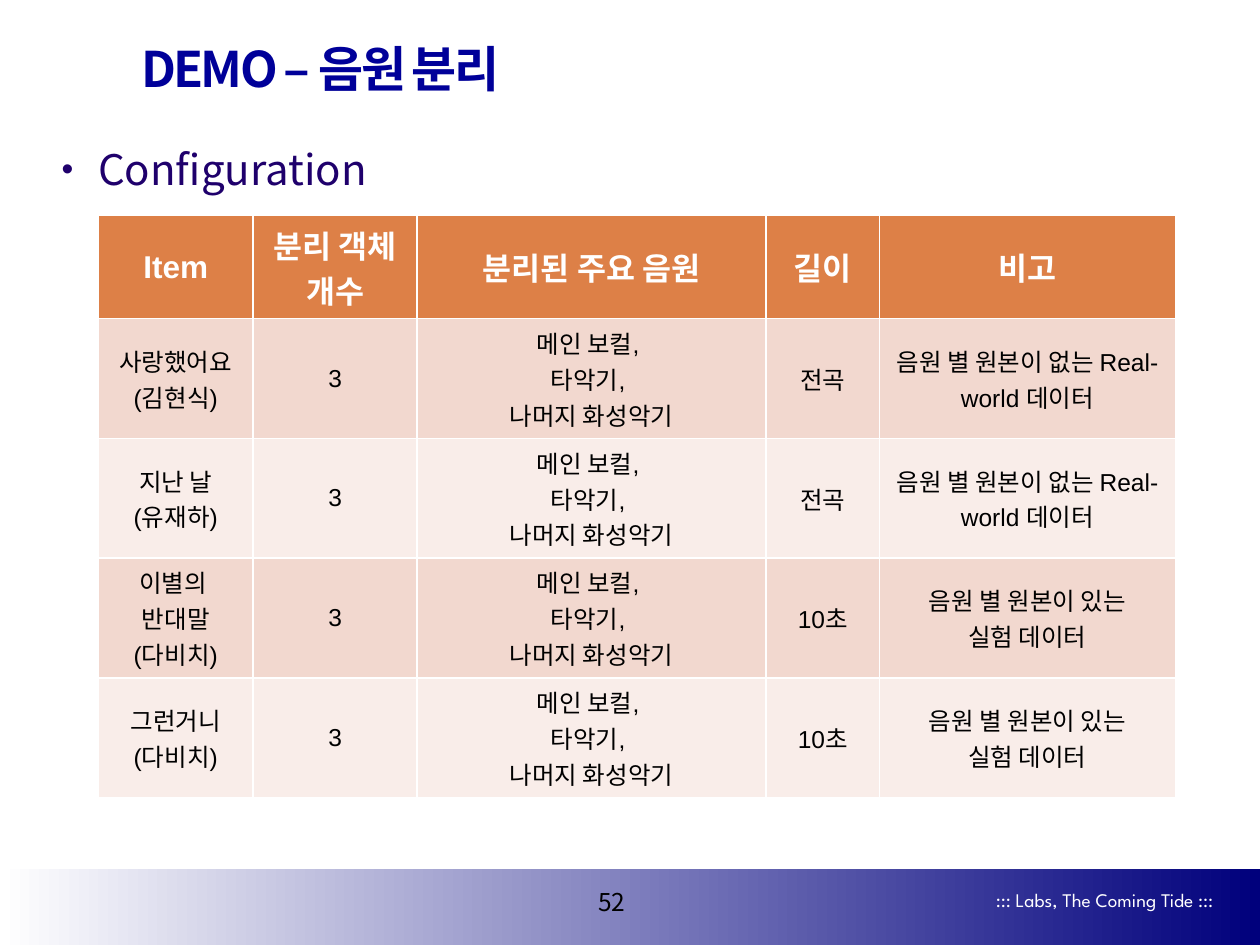
import pptx
import pptx.util
import pptx.dml.color
import pptx.enum.shapes
import pptx.enum.text
import pptx.oxml
import pptx.oxml.ns

Inches = pptx.util.Inches
ALIGN = pptx.enum.text.PP_ALIGN
ANCHOR = pptx.enum.text.MSO_ANCHOR
KOREAN = "Noto Sans CJK KR"
COLORS = {
    "white": "FFFFFF",
    "black": "000000",
    "navy": "00007C",
    "title": "000099",
    "body": "1F006C",
    "header": "DD8047",
    "odd": "F2D8CF",
    "even": "F9EDE9",
}

# "\n" starts a paragraph, "\v" breaks a line within one
HEADINGS = ["Item", "분리 객체 개수", "분리된 주요 음원", "길이", "비고"]
SOURCES = "메인 보컬, \v타악기, \v나머지 화성악기"
NO_ORIGINAL = "음원 별 원본이 없는 Real-world 데이터"
WITH_ORIGINAL = "음원 별 원본이 있는\v실험 데이터"
SONGS = [
    ("사랑했어요\v(김현식)", "전곡", NO_ORIGINAL),
    ("지난 날\n(유재하)", "전곡", NO_ORIGINAL),
    ("이별의 \v반대말\n(다비치)", "10초", WITH_ORIGINAL),
    ("그런거니\n(다비치)", "10초", WITH_ORIGINAL),
]


class SlideBuilder:
    def __init__(self, page):
        self.page = page

    def color(self, name):
        return pptx.dml.color.RGBColor.from_string(COLORS[name])

    def style(self, para, size, color, font=KOREAN, bold=False, align=ALIGN.LEFT):
        para.alignment = align
        para.font.size = pptx.util.Pt(size)
        para.font.name = font
        para.font.bold = bold
        para.font.color.rgb = self.color(color)
        defaults = para._p.pPr.find(pptx.oxml.ns.qn("a:defRPr"))
        if font == KOREAN:
            east_asian = pptx.oxml.parse_xml(
                f'<a:ea {pptx.oxml.ns.nsdecls("a")} typeface="{font}"/>')
            defaults.append(east_asian)
        return defaults

    def title(self, text, left, top, width, height):
        box = self.page.shapes.title
        box.left, box.top = Inches(left), Inches(top)
        box.width, box.height = Inches(width), Inches(height)
        frame = box.text_frame
        frame.text = text
        frame.auto_size = pptx.enum.text.MSO_AUTO_SIZE.NONE
        frame.vertical_anchor = ANCHOR.MIDDLE
        defaults = self.style(frame.paragraphs[0], 28, "title", bold=True)
        defaults.set("spc", "-150")

    def text(self, text, left, top, width, height, size, color,
             anchor=ANCHOR.MIDDLE, bullet=False, **style):
        box = self.page.shapes.add_textbox(
            Inches(left), Inches(top), Inches(width), Inches(height))
        frame = box.text_frame
        frame.word_wrap = True
        frame.vertical_anchor = anchor
        frame.text = text
        para = frame.paragraphs[0]
        if bullet:
            self.bullet(para)
        self.style(para, size, color, **style)

    def bullet(self, para):
        properties = para._p.get_or_add_pPr()
        indent = Inches(0.29)
        properties.set("marL", str(indent))
        properties.set("indent", str(-indent))
        for tag in ('buSzPct val="80000"', 'buFont typeface="Arial"', 'buChar char="•"'):
            properties.append(pptx.oxml.parse_xml(
                f'<a:{tag} {pptx.oxml.ns.nsdecls("a")}/>'))

    def gradient_band(self, left, top, width, height, start, end):
        band = self.page.shapes.add_shape(
            pptx.enum.shapes.MSO_SHAPE.RECTANGLE,
            Inches(left), Inches(top), Inches(width), Inches(height))
        band.shadow.inherit = False
        band.line.fill.background()
        band.fill.gradient()
        band.fill.gradient_angle = 0
        for stop, name in zip(band.fill.gradient_stops, (start, end)):
            stop.color.rgb = self.color(name)

    def table(self, rows, left, top, widths, heights):
        """Draw rows with a bold header and alternating body fills."""
        table = self.page.shapes.add_table(
            len(rows), len(widths), Inches(left), Inches(top),
            Inches(sum(widths)), Inches(sum(heights))).table
        for column, width in zip(table.columns, widths):
            column.width = Inches(width)
        for index, (row, height, values) in enumerate(zip(table.rows, heights, rows)):
            row.height = Inches(height)
            header = index == 0
            fill = "header" if header else ("even", "odd")[index % 2]
            for cell, value in zip(row.cells, values):
                cell.text = value
                cell.vertical_anchor = ANCHOR.MIDDLE
                cell.fill.solid()
                cell.fill.fore_color.rgb = self.color(fill)
                for para in cell.text_frame.paragraphs:
                    self.style(para, 18 if header else 14,
                               "white" if header else "black",
                               font="Arial", bold=header, align=ALIGN.CENTER)


def main():
    deck = pptx.Presentation()
    deck.slide_width, deck.slide_height = Inches(10), Inches(7.5)
    builder = SlideBuilder(deck.slides.add_slide(deck.slide_layouts[5]))

    builder.gradient_band(0, 6.9, 10, 0.6, "white", "navy")
    builder.text("::: Labs, The Coming Tide :::", 7.61, 7, 2.12, 0.28, 11, "white",
                 font="League Spartan", align=ALIGN.RIGHT)
    builder.title("DEMO – 음원 분리", 1.02, 0.23, 7.81, 0.62)
    builder.text("Configuration", 0.39, 1.09, 9.34, 0.59, 24, "body",
                 anchor=ANCHOR.TOP, bullet=True)
    builder.text("52", 4.54, 6.99, 0.63, 0.33, 14, "black", align=ALIGN.CENTER)

    rows = [HEADINGS] + [(song, "3", SOURCES, length, note)
                         for song, length, note in SONGS]
    builder.table(rows, 0.78, 1.71, [1.23, 1.3, 2.77, 0.9, 2.35],
                  [0.82] + [0.95] * len(SONGS))
    deck.save("out.pptx")


if __name__ == "__main__":
    main()
